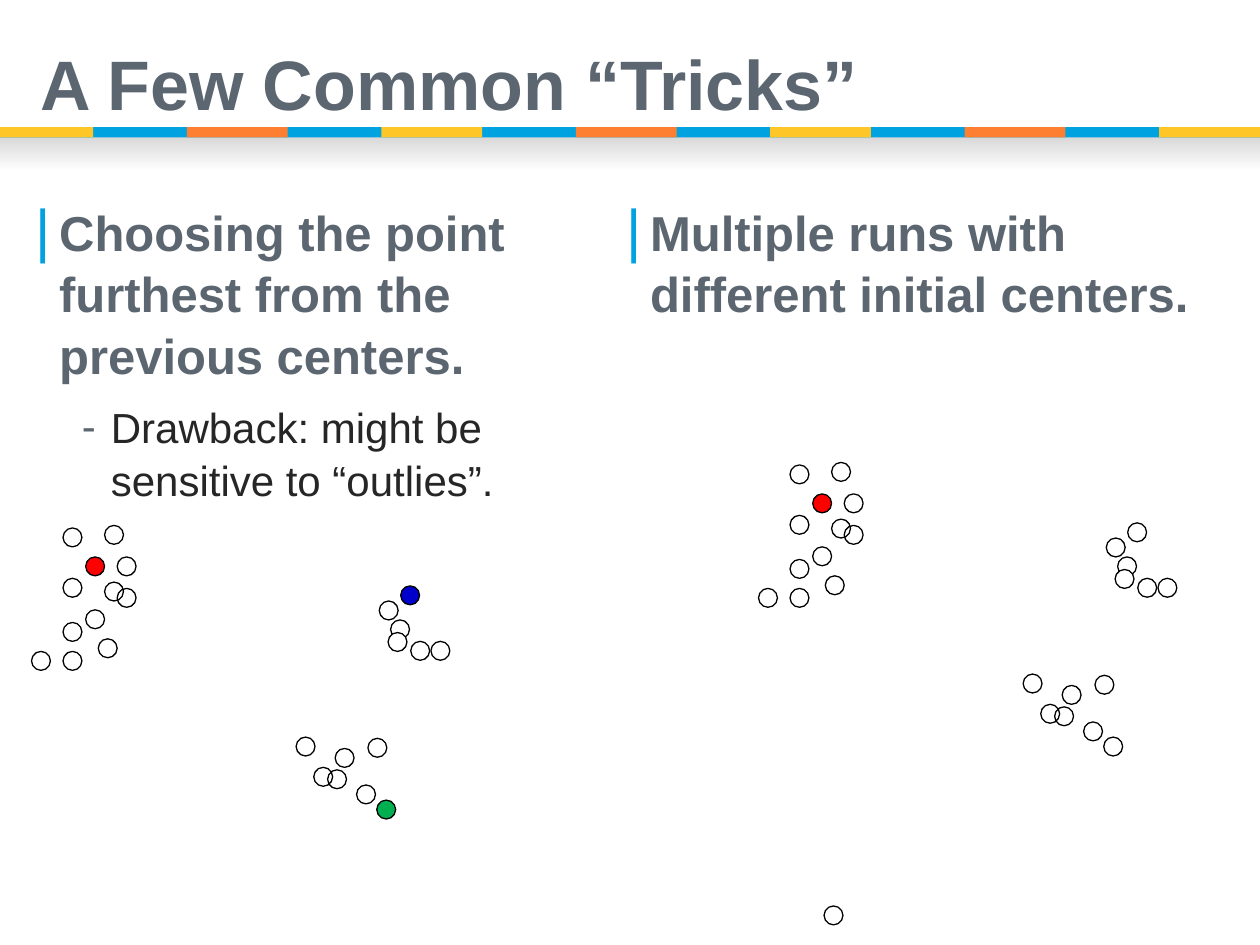
from pptx import Presentation
from pptx.dml.color import RGBColor
from pptx.enum.shapes import MSO_SHAPE as Shape
from pptx.enum.text import MSO_ANCHOR as Anchor, MSO_AUTO_SIZE as Fit, PP_ALIGN as Align
from pptx.oxml import parse_xml
from pptx.oxml.ns import nsdecls
from pptx.util import Inches, Pt

# The slide is a grid of 1000 columns by 750 rows.
COLS, ROWS = 1000, 750
CELL = Inches(10) // COLS
DOT = 15
FONT = "Arial"
HEX = {
    "slate": "5C6670", "ink": "262626", "sky": "00A2E0", "gold": "FFC627",
    "orange": "FF7F32", "shade": "D9D9D9", "white": "FFFFFF", "black": "000000",
    "red": "FF0000", "green": "00B050", "blue": "0000CC",
}
# Column and row of each data point, from back to front.
DOTS = [
    (301, 477), (93, 442), (50, 419), (83, 417), (310, 492), (260, 611),
    (68, 442), (292, 586), (342, 509), (266, 594), (283, 623), (299, 635),
    (249, 609), (318, 465), (326, 509), (308, 502), (50, 494), (78, 507),
    (235, 585), (93, 467), (50, 459), (83, 462), (68, 484), (50, 517),
    (25, 517),
]
FIRST = {(68, 442): "red", (308, 502): "white", (50, 517): "white"}
FAR = {(299, 635): "green", (318, 465): "blue"}


def rgb(name):
    return RGBColor.from_string(HEX[name])


def cells(*nums):
    return [round(n * CELL) for n in nums]


def style(para, size, tint, bold):
    font = para.font
    font.name, font.size, font.bold = FONT, Pt(size), bold
    font.color.rgb = rgb(tint)


def add_bar(shapes, x, y, w, h, tint):
    bar = shapes.add_shape(Shape.RECTANGLE, *cells(x, y, w, h))
    bar.shadow.inherit = False
    bar.line.fill.background()
    bar.fill.solid()
    bar.fill.fore_color.rgb = rgb(tint)
    return bar


def add_band(shapes):
    """Striped rule under the title, with a soft fade below it."""
    fade = add_bar(shapes, 0, 109, COLS, 27, "shade").fill
    fade.gradient()
    fade.gradient_angle = 270
    for stop, tint in zip(fade.gradient_stops, ("shade", "white")):
        stop.color.rgb = rgb(tint)
    band = shapes.add_group_shape().shapes
    add_bar(band, 0, 101, COLS, 8, "sky")
    wide, count = 80, 7
    step = (COLS - wide + 6) / (count - 1)
    for i in range(count):
        left = i * step - 6
        start = max(left, 0)
        tint = "orange" if i % 2 else "gold"
        add_bar(band, start, 101, left + wide - start, 8, tint)


def add_dot(shapes, x, y, tint=None):
    dot = shapes.add_shape(Shape.OVAL, *cells(x, y, DOT, DOT))
    dot.shadow.inherit = False
    dot.line.color.rgb = rgb("black")
    dot.line.width = Pt(0.75)
    if tint:
        dot.fill.solid()
        dot.fill.fore_color.rgb = rgb(tint)
    else:
        dot.fill.background()


def add_plot(shapes, dx, dy, paint):
    plot = shapes.add_group_shape().shapes
    for x, y in DOTS:
        add_dot(plot, x + dx, y + dy, paint.get((x, y)))


def set_bullet(para, mark, tint, left, hang, scale=100):
    props = para._p.get_or_add_pPr()
    margin, indent = cells(left, -hang)
    props.set("marL", str(margin))
    props.set("indent", str(indent))
    for tag in (
        f'<a:buClr {nsdecls("a")}><a:srgbClr val="{HEX[tint]}"/></a:buClr>',
        f'<a:buSzPct {nsdecls("a")} val="{scale * 1000}"/>',
        f'<a:buFont {nsdecls("a")} typeface="{FONT}"/>',
        f'<a:buChar {nsdecls("a")} char="{mark}"/>',
    ):
        props.append(parse_xml(tag))


def add_column(shapes, x, head, note=None):
    frame = shapes.add_textbox(*cells(x, 154, 470, 200)).text_frame
    frame.word_wrap = True
    frame.margin_left = frame.margin_right = Inches(0.07)
    frame.margin_top = frame.margin_bottom = Inches(0.04)
    para = frame.paragraphs[0]
    para.text = head
    para.line_spacing = 1.05
    para.space_after = Pt(4.5)
    style(para, 28, "slate", True)
    set_bullet(para, "|", "sky", 19, 19, 120)
    if note:
        para = frame.add_paragraph()
        para.text = note
        para.level = 1
        para.line_spacing = 1.05
        para.space_before = Pt(3.8)
        style(para, 24, "ink", False)
        set_bullet(para, "-", "slate", 60, 23)


def set_title(title, text):
    title.left, title.top, title.width, title.height = cells(22, 21, 862, 97)
    frame = title.text_frame
    frame.text = text
    frame.auto_size = Fit.NONE
    frame.vertical_anchor = Anchor.MIDDLE
    para = frame.paragraphs[0]
    para.alignment = Align.LEFT
    para.line_spacing = 0.9
    style(para, 40, "slate", True)


def main():
    deck = Presentation()
    deck.slide_width, deck.slide_height = cells(COLS, ROWS)
    slide = deck.slides.add_slide(deck.slide_layouts[5])
    shapes = slide.shapes
    set_title(shapes.title, "A Few Common “Tricks”")
    add_band(shapes)
    add_plot(shapes, 0, 0, FIRST | FAR)
    add_plot(shapes, 577, -50, FIRST)
    add_dot(shapes, 654, 719)
    add_column(shapes, 21, "Choosing the point furthest from the previous centers.",
               "Drawback: might be sensitive to “outlies”.")
    add_column(shapes, 490, "Multiple runs with different initial centers.")
    deck.save("out.pptx")


if __name__ == "__main__":
    main()
